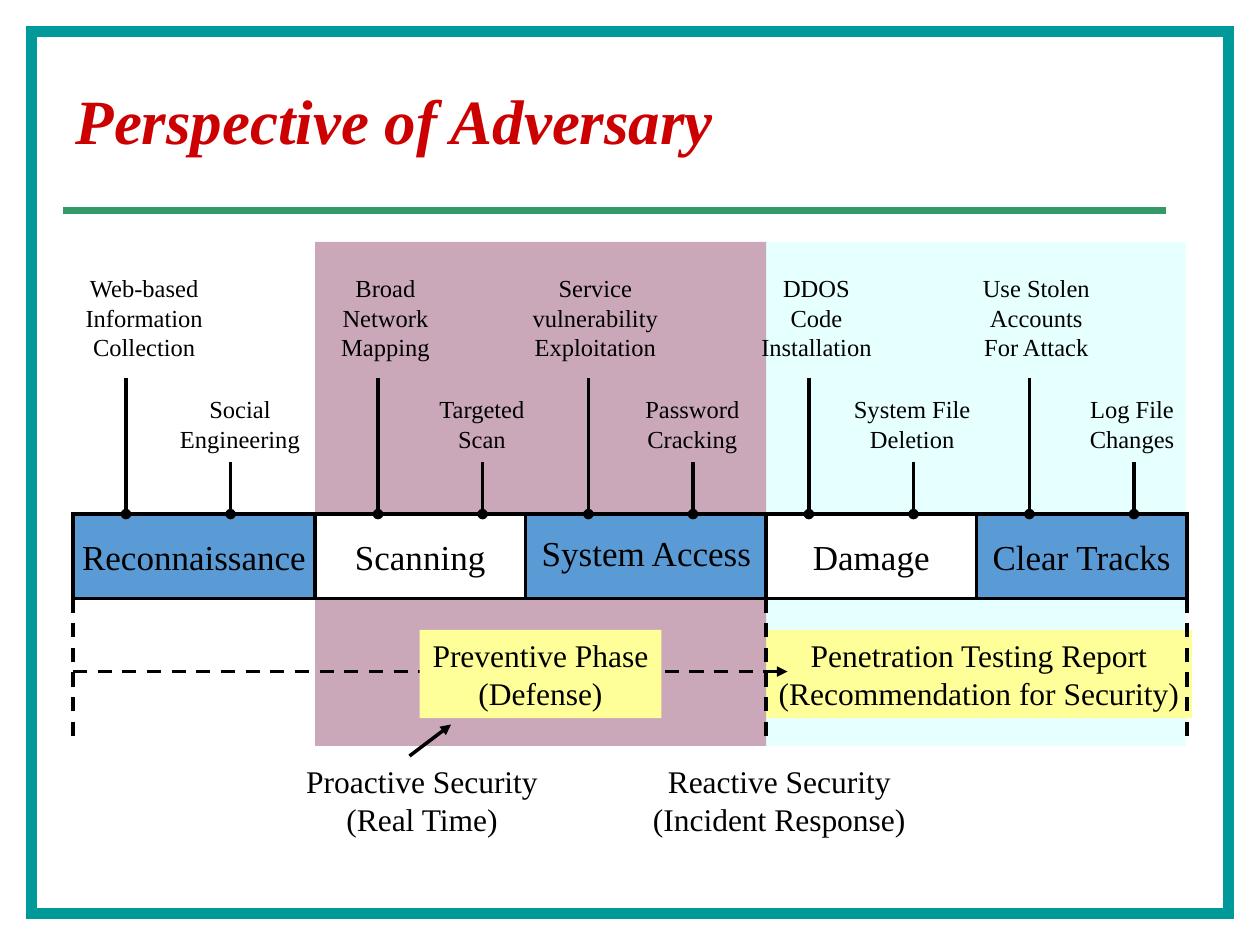
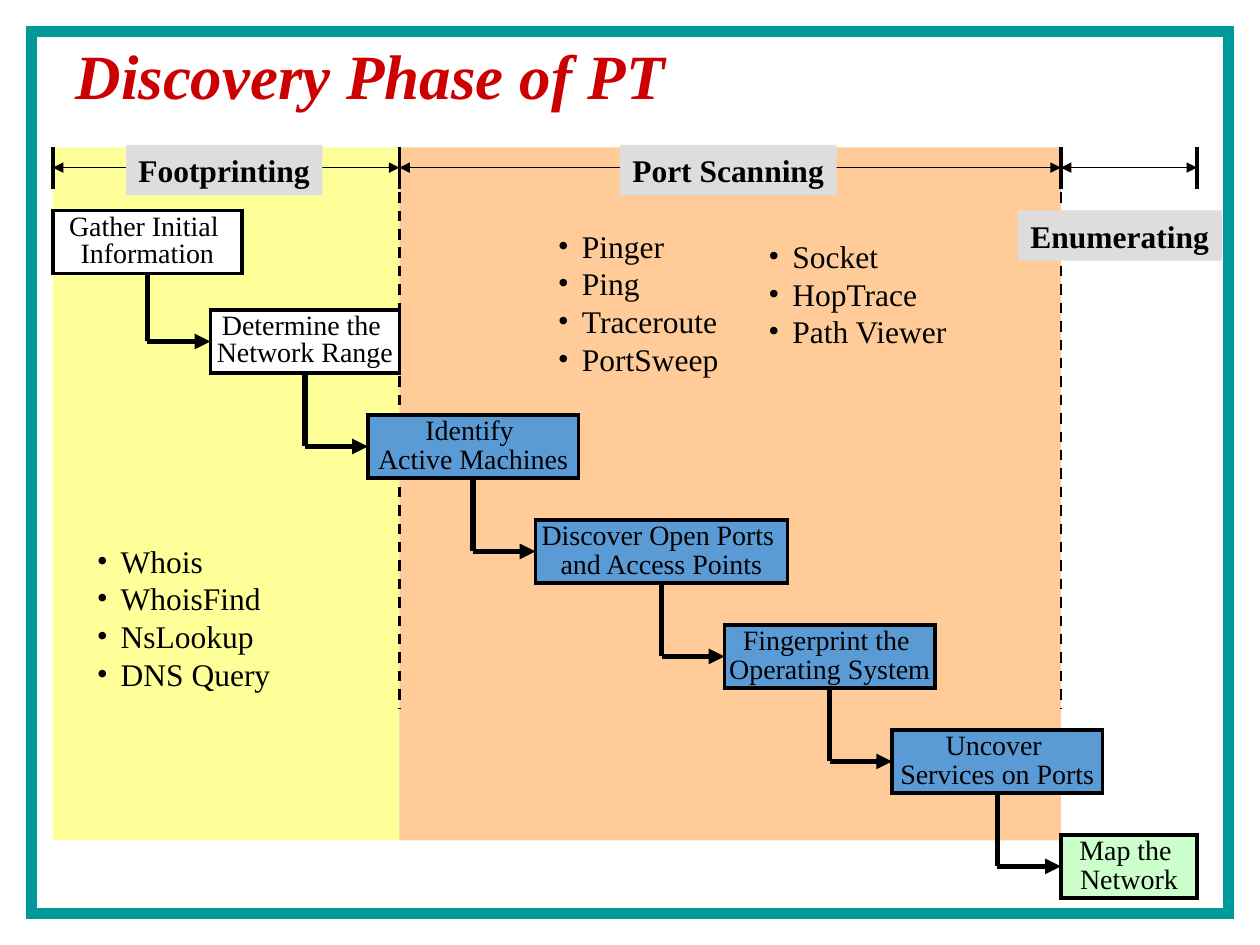
from itertools import pairwise

from lxml.etree import SubElement
from pptx import Presentation
from pptx.dml.color import RGBColor
from pptx.enum.dml import MSO_LINE
from pptx.enum.shapes import MSO_CONNECTOR, MSO_SHAPE
from pptx.enum.text import MSO_ANCHOR, MSO_AUTO_SIZE, PP_ALIGN
from pptx.oxml.ns import qn
from pptx.util import Inches, Pt

COLORS = {
    "ink": "000000", "white": "FFFFFF", "frame": "009999", "title": "CC0000",
    "rule": "339966", "blue": "5B9BD5", "yellow": "FFFF99", "orange": "FFCC99",
    "grey": "DDDDDD", "green": "CCFFCC", "cyan": "CCFFFF", "plum": "954F72",
}
RGB = {name: RGBColor.from_string(value) for name, value in COLORS.items()}
FONT = "Times New Roman"
TITLE_FONT = {"name": FONT, "size": Pt(36), "bold": True, "italic": True}
MIDDLE = {"vertical_anchor": MSO_ANCHOR.MIDDLE, "auto_size": MSO_AUTO_SIZE.NONE,
          "word_wrap": False}
GROW = {"vertical_anchor": MSO_ANCHOR.TOP, "auto_size": MSO_AUTO_SIZE.SHAPE_TO_FIT_TEXT,
        "word_wrap": False}
# Text boxes keep their width; narrow side insets leave room for the longest word
LABEL = {**GROW, "word_wrap": True, "margin_left": Inches(0.02), "margin_right": Inches(0.02)}
TOOL_LIST = {**LABEL, "margin_left": Inches(0.1), "margin_right": 0}


def draw_box(slide, place, fill=None, text="", size=18, border=0, frame=GROW,
             align=PP_ALIGN.CENTER, spacing=None, bold=False, bullet=False, alpha=None):
    """Draw a filled rectangle, or a text box when there is no fill."""
    place = [Inches(length) for length in place]
    if fill:
        box = slide.shapes.add_shape(MSO_SHAPE.RECTANGLE, *place)
        box.shadow.inherit = False
        box.fill.solid()
        box.fill.fore_color.rgb = RGB[fill]
        if alpha:
            color = box.element.spPr.find(qn("a:solidFill"))[0]
            SubElement(color, qn("a:alpha"), val=str(alpha * 1000))
        if border:
            box.line.color.rgb = RGB["ink"]
            box.line.width = Pt(border)
            SubElement(box.element.spPr.find(qn("a:ln")), qn("a:miter"), lim="800000")
        else:
            box.line.fill.background()
    else:
        box = slide.shapes.add_textbox(*place)
    if not text:
        return
    body = box.text_frame
    body.text = text
    for name, value in frame.items():
        setattr(body, name, value)
    for paragraph in body.paragraphs:
        paragraph.alignment = align
        paragraph.line_spacing = spacing
        font = paragraph.runs[0].font
        for name, value in {"name": FONT, "size": Pt(size), "bold": bold}.items():
            setattr(font, name, value)
        font.color.rgb = RGB["ink"]
        if bullet:
            properties = paragraph._p.get_or_add_pPr()
            properties.set("marL", str(Inches(0.19)))
            properties.set("indent", str(-Inches(0.19)))
            SubElement(properties, qn("a:buFont"), typeface=FONT)
            SubElement(properties, qn("a:buChar"), char="•")


def draw_line(shapes, start, end, width=2, color="ink", dashed=False, head=None, tail=None):
    """Draw a straight connector with optional dashes and line ends."""
    points = [Inches(length) for length in (*start, *end)]
    line = shapes.add_connector(MSO_CONNECTOR.STRAIGHT, *points)
    line.line.color.rgb = RGB[color]
    line.line.width = Pt(width)
    if dashed:
        line.line.dash_style = MSO_LINE.DASH
    properties = line.element.spPr
    for tag, ending in (("a:headEnd", head), ("a:tailEnd", tail)):
        if ending:
            SubElement(properties.find(qn("a:ln")), qn(tag), type=ending)
    SubElement(properties, qn("a:effectLst"))


deck = Presentation()
deck.slide_width, deck.slide_height = Inches(10), Inches(7.5)
title_only = deck.slide_layouts[5]

# Titles of both slides
slides = []
for heading, top, height in (("Perspective of Adversary", 0.42, 1.13),
                             ("Discovery Phase of PT", 0.25, 0.75)):
    slide = deck.slides.add_slide(title_only)
    title = slide.shapes.title
    place = {"left": 0.5, "top": top, "width": 9, "height": height}
    for name, value in place.items():
        setattr(title, name, Inches(value))
    title.text_frame.text = heading
    for name, value in {**MIDDLE, "word_wrap": True}.items():
        setattr(title.text_frame, name, value)
    paragraph = title.text_frame.paragraphs[0]
    paragraph.alignment, paragraph.line_spacing = PP_ALIGN.LEFT, 0.9
    for name, value in TITLE_FONT.items():
        setattr(paragraph.runs[0].font, name, value)
    paragraph.runs[0].font.color.rgb = RGB["title"]
    slides.append(slide)
adversary, discovery = slides

# Shared frame, moved to the back of the layout
border = adversary.shapes.add_shape(
    MSO_SHAPE.RECTANGLE, Inches(0.25), Inches(0.25), Inches(9.5), Inches(7))
border.shadow.inherit = False
border.fill.background()
border.line.color.rgb = RGB["frame"]
border.line.width = Pt(6.25)
SubElement(border.element.spPr.find(qn("a:ln")), qn("a:miter"), lim="800000")
title_only.shapes.element.insert(2, border.element)

# Slide 1: background bands and defense line
draw_box(adversary, (6.08, 1.92, 3.33, 4), "cyan", alpha=49)
draw_box(adversary, (6.08, 5, 3.38, 0.7), "yellow",
         "Penetration Testing Report\n(Recommendation for Security)")
draw_box(adversary, (2.5, 1.92, 3.58, 4), "plum", alpha=49)
draw_line(adversary.shapes, (0.58, 5.33), (6.25, 5.33), dashed=True, tail="triangle")

# Attack phases: name, left, width, fill, line spacing, offset of first stem
PHASE_TOP, PHASE_HEIGHT, STEM_GAP = 4.08, 0.67, 0.83
phases = [
    ("Reconnaissance", 0.58, 1.92, "blue", None, 0.42),
    ("Scanning", 2.5, 1.67, "white", None, 0.5),
    ("System Access", 4.17, 1.92, "blue", 0.8, 0.5),
    ("Damage", 6.08, 1.67, "white", None, 0.34),
    ("Clear Tracks", 7.75, 1.67, "blue", None, 0.42),
]
for name, left, width, fill, spacing, offset in phases:
    draw_box(adversary, (left, PHASE_TOP, width, PHASE_HEIGHT), fill, name,
             size=20, border=2, frame=MIDDLE, spacing=spacing)
for name, left, width, fill, spacing, offset in phases:
    for stem, top in ((left + offset, 3), (left + offset + STEM_GAP, 3.67)):
        draw_line(adversary.shapes, (stem, top), (stem, PHASE_TOP), tail="oval")

# Techniques above the phases, alternating between the upper and lower row
techniques = [
    ("Web-based\nInformation\nCollection", 0.58, 1.13),
    ("Social\nEngineering", 1.33, 1.15),
    ("Broad\nNetwork\nMapping", 2.61, 0.9),
    ("Targeted\nScan", 3.38, 0.89),
    ("Service\nvulnerability\nExploitation", 4.13, 1.19),
    ("Password\nCracking", 5.02, 0.95),
    ("DDOS\nCode\nInstallation", 5.94, 1.08),
    ("System File\nDeletion", 6.68, 1.12),
    ("Use Stolen\nAccounts\nFor Attack", 7.7, 1.05),
    ("Log File\nChanges", 8.55, 0.87),
]
for index, (technique, left, width) in enumerate(techniques):
    top, height = ((2.12, 0.8), (3.08, 0.57))[index % 2]
    draw_box(adversary, (left, top, width, height), text=technique, size=14, frame=LABEL)

# Security modes below the phases
for mode, left, width in (("Reactive Security\n(Incident Response)", 5.08, 2.21),
                          ("Proactive Security\n(Real Time)", 2.33, 2.04)):
    draw_box(adversary, (left, 6, width, 0.7), text=mode, frame=LABEL)
draw_box(adversary, (3.33, 5, 1.92, 0.7), "yellow", "Preventive Phase\n(Defense)")
for x in (6.08, 0.58, 9.42):
    draw_line(adversary.shapes, (x, 4.75), (x, 5.92), dashed=True)
draw_line(adversary.shapes, (3.25, 6), (3.58, 5.75), tail="triangle")
draw_line(adversary.shapes, (0.5, 1.67), (9.25, 1.67), width=4, color="rule")

# Slide 2: stage bands, ticks, spans and dashed limits
stage_edges = [0.42, 3.17, 8.42, 9.5]
for left, right, fill in ((0.42, 3.17, "yellow"), (3.17, 8.42, "orange")):
    draw_box(discovery, (left, 1.17, right - left, 5.5), fill)
for edge in stage_edges:
    draw_line(discovery.shapes, (edge, 1.17), (edge, 1.5))
for edge in stage_edges[1:3]:
    draw_line(discovery.shapes, (edge, 1.38), (edge, 5.62), width=1.5, dashed=True)
for left, right in pairwise(stage_edges):
    draw_line(discovery.shapes, (left, 1.33), (right, 1.33), width=1,
              head="triangle", tail="triangle")

# Stage names
for stage, left, top, width in (("Footprinting", 1, 1.15, 1.56),
                                ("Port Scanning", 4.92, 1.15, 1.72),
                                ("Enumerating", 8.08, 1.67, 1.62)):
    draw_box(discovery, (left, top, width, 0.4), "grey", stage,
             align=PP_ALIGN.LEFT, bold=True)

# Tools of each stage
for tools, place in (
    ("Whois\nWhoisFind\nNsLookup\nDNS Query", (0.67, 4.25, 1.64, 1.3)),
    ("Pinger\nPing\nTraceroute\nPortSweep", (4.33, 1.75, 1.48, 1.3)),
    ("Socket\nHopTrace\nPath Viewer", (6, 1.83, 1.71, 1)),
):
    draw_box(discovery, place, text=tools, frame=TOOL_LIST, align=PP_ALIGN.LEFT, bullet=True)

# Staircase of steps: text, left, width, fill, line spacing
STEP_HEIGHT, STEP_RISE = 0.5, 5 / 6
steps = [
    ("Gather Initial \nInformation", 0.42, 1.5, "white", 0.8),
    ("Determine the \nNetwork Range", 1.67, 1.5, "white", 0.8),
    ("Identify \nActive Machines", 2.92, 1.67, "blue", 0.85),
    ("Discover Open Ports \nand Access Points", 4.25, 2, "blue", 0.85),
    ("Fingerprint the \nOperating System", 5.75, 1.67, "blue", 0.85),
    ("Uncover \nServices on Ports", 7.08, 1.67, "blue", 0.85),
    ("Map the \nNetwork", 8.42, 1.08, "green", 0.85),
]
step_tops = [1.67] + [2.46 + STEP_RISE * index for index in range(len(steps) - 1)]
for (step, left, width, fill, spacing), top in zip(steps, step_tops):
    draw_box(discovery, (left, top, width, STEP_HEIGHT), fill, step,
             size=16, border=2, frame=MIDDLE, spacing=spacing)

# Elbow arrows from each step to the next
for (step, top), (next_step, next_top) in pairwise(zip(steps, step_tops)):
    center = step[1] + step[2] / 2
    middle = next_top + STEP_HEIGHT / 2
    elbow = discovery.shapes.add_group_shape().shapes
    draw_line(elbow, (center, top + STEP_HEIGHT), (center, middle), width=3)
    draw_line(elbow, (center, middle), (next_step[1], middle), width=3, tail="triangle")

deck.save("out.pptx")
